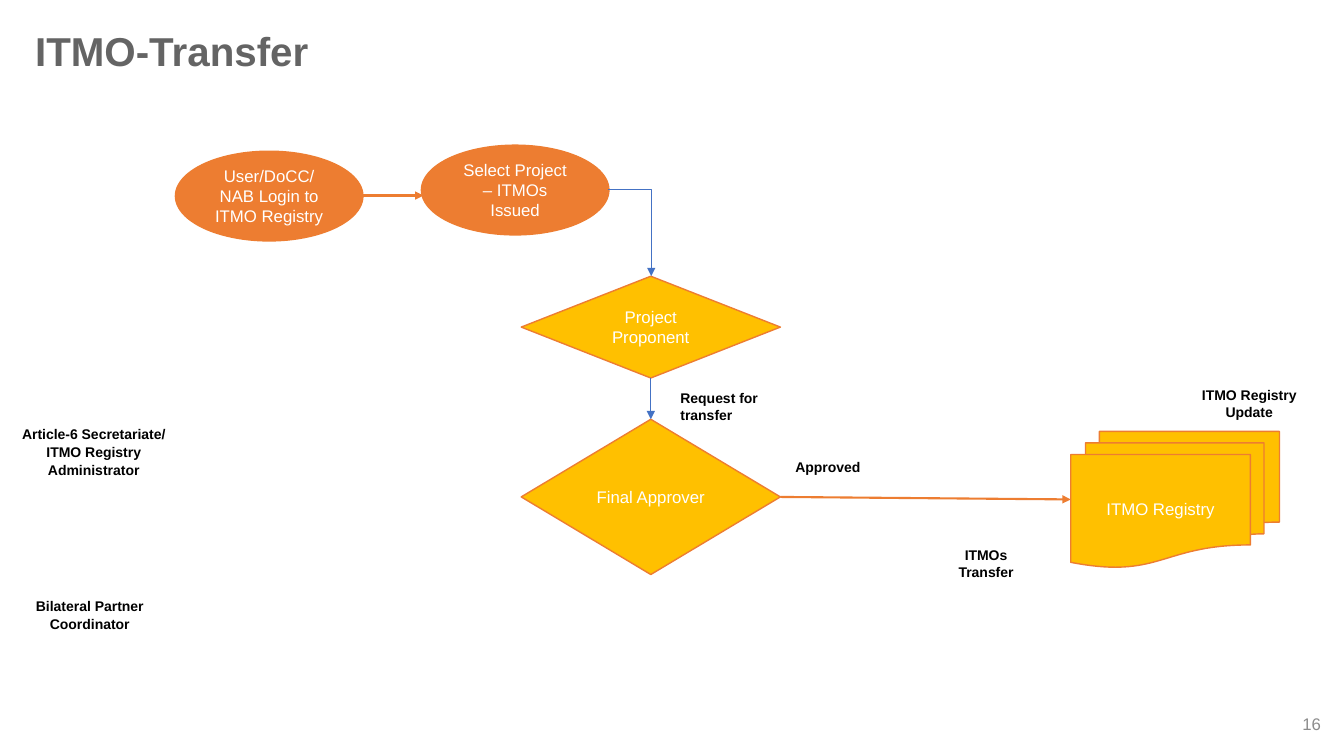
from dataclasses import dataclass

from lxml.etree import SubElement
from pptx import Presentation
from pptx.dml.color import RGBColor
from pptx.enum.shapes import MSO_CONNECTOR as Link, MSO_SHAPE as Geometry
from pptx.enum.text import MSO_ANCHOR as Anchor, PP_ALIGN as Align
from pptx.oxml.ns import qn
from pptx.shapes.autoshape import Shape
from pptx.shapes.connector import Connector
from pptx.slide import Slide
from pptx.util import Inches, Pt

ORANGE, AMBER, BLUE = "ED7D31", "FFC000", "4472C4"
WHITE, BLACK, GRAY, PALE_GRAY = "FFFFFF", "000000", "646464", "8C8C8C"
TOP, LEFT, BOTTOM, RIGHT = range(4)
Frame = tuple[float, float, float, float]
Point = tuple[float, float]


@dataclass
class Style:
    size: float
    color: str
    bold: bool = False
    align: Align = Align.CENTER
    anchor: Anchor = Anchor.MIDDLE
    spacing: float = 1.0


@dataclass
class Label:
    text: str
    frame: Frame
    style: Style


@dataclass
class Node:
    name: str
    text: str
    geometry: Geometry
    frame: Frame
    fill: str
    line: str
    style: Style


@dataclass
class Arrow:
    start: Point
    end: Point
    color: str
    width: float
    source: tuple[str, int] | None = None
    target: tuple[str, int] | None = None
    bent: bool = False


STEP = Style(12, WHITE)
ROLE = Style(10, BLACK, bold=True, spacing=1.07)
NOTE = Style(10, BLACK, bold=True, align=Align.LEFT, anchor=Anchor.TOP)
CENTERED_NOTE = Style(10, BLACK, bold=True, anchor=Anchor.TOP)
TITLE = Style(28.8, GRAY, bold=True, align=Align.LEFT, spacing=0.85)
PAGE_NUMBER = Style(12, PALE_GRAY, align=Align.RIGHT)

LABELS = [
    Label("ITMO-Transfer", (0.25, 0.3, 11.86, 0.48), TITLE),
    Label("16", (9.42, 6.95, 3.78, 0.47), PAGE_NUMBER),
    Label("Request for transfer", (6.65, 3.82, 1.14, 0.44), NOTE),
    Label("Approved", (7.79, 4.5, 1.14, 0.27), NOTE),
    Label("ITMO Registry Update", (11.59, 3.79, 1.6, 0.44), CENTERED_NOTE),
    Label("ITMOs Transfer", (9.21, 5.37, 1.14, 0.44), CENTERED_NOTE),
]

NODES = [
    Node("secretariat", "Article-6 Secretariate/ ITMO Registry Administrator",
         Geometry.RECTANGLE, (0.11, 4.09, 1.64, 0.78), WHITE, WHITE, ROLE),
    Node("partner", "Bilateral Partner Coordinator",
         Geometry.RECTANGLE, (0.15, 5.9, 1.48, 0.38), "", WHITE, ROLE),
    Node("login", "User/DoCC/NAB Login to ITMO Registry",
         Geometry.OVAL, (1.74, 1.5, 1.86, 0.89), ORANGE, ORANGE, STEP),
    Node("selection", "Select Project – ITMOs Issued",
         Geometry.OVAL, (4.18, 1.44, 1.86, 0.89), ORANGE, ORANGE, STEP),
    Node("proponent", "Project Proponent",
         Geometry.DIAMOND, (5.17, 2.74, 2.57, 1.01), AMBER, ORANGE, STEP),
    Node("approver", "Final Approver",
         Geometry.DIAMOND, (5.17, 4.16, 2.57, 1.54), AMBER, ORANGE, STEP),
    Node("registry", "ITMO Registry", Geometry.FLOWCHART_MULTIDOCUMENT,
         (10.62, 4.28, 2.07, 1.35), AMBER, ORANGE, STEP),
]

ARROWS = [
    Arrow((3.6, 1.94), (4.2, 1.94), ORANGE, 1.5),
    Arrow((6.03, 1.88), (6.46, 2.74), BLUE, 0.5, bent=True),
    Arrow((6.46, 3.75), (6.45, 4.16), BLUE, 0.5,
          ("proponent", BOTTOM), ("approver", TOP)),
    Arrow((7.73, 4.93), (10.62, 4.96), ORANGE, 1.5,
          ("approver", RIGHT), ("registry", LEFT)),
]


def rgb(value: str) -> RGBColor:
    return RGBColor.from_string(value)


def write_text(box: Shape, text: str, style: Style) -> None:
    box.text_frame.word_wrap = True
    box.text_frame.vertical_anchor = style.anchor
    para = box.text_frame.paragraphs[0]
    para.alignment = style.align
    para.line_spacing = style.spacing
    span = para.add_run()
    span.text = text
    formats = {"name": "Arial", "size": Pt(style.size), "bold": style.bold}
    for key, value in formats.items():
        setattr(span.font, key, value)
    span.font.color.rgb = rgb(style.color)


def draw_label(page: Slide, label: Label) -> None:
    box = page.shapes.add_textbox(*map(Inches, label.frame))
    write_text(box, label.text, label.style)


def draw_node(page: Slide, node: Node) -> Shape:
    shape = page.shapes.add_shape(node.geometry, *map(Inches, node.frame))
    shape.shadow.inherit = False
    if node.fill:
        shape.fill.solid()
        shape.fill.fore_color.rgb = rgb(node.fill)
    else:
        shape.fill.background()
    shape.line.color.rgb = rgb(node.line)
    shape.line.width = Pt(1)
    write_text(shape, node.text, node.style)
    return shape


def draw_arrow(page: Slide, arrow: Arrow, nodes: dict[str, Shape]) -> Connector:
    kind = Link.ELBOW if arrow.bent else Link.STRAIGHT
    connector = page.shapes.add_connector(
        kind, *map(Inches, arrow.start + arrow.end))
    connector.line.color.rgb = rgb(arrow.color)
    connector.line.width = Pt(arrow.width)
    properties = connector.element.spPr
    if arrow.bent:
        properties.find(qn("a:prstGeom")).set("prst", "bentConnector2")
    SubElement(properties.find(qn("a:ln")), qn("a:tailEnd"), type="triangle")
    SubElement(properties, qn("a:effectLst"))
    if arrow.source:
        name, side = arrow.source
        connector.begin_connect(nodes[name], side)
    if arrow.target:
        name, side = arrow.target
        connector.end_connect(nodes[name], side)
    return connector


def main() -> None:
    deck = Presentation()
    deck.slide_width, deck.slide_height = Inches(13.33), Inches(7.5)
    page = deck.slides.add_slide(deck.slide_layouts[6])
    nodes = {node.name: draw_node(page, node) for node in NODES}
    for arrow in ARROWS:
        draw_arrow(page, arrow, nodes)
    for label in LABELS:
        draw_label(page, label)
    deck.save("out.pptx")


if __name__ == "__main__":
    main()
